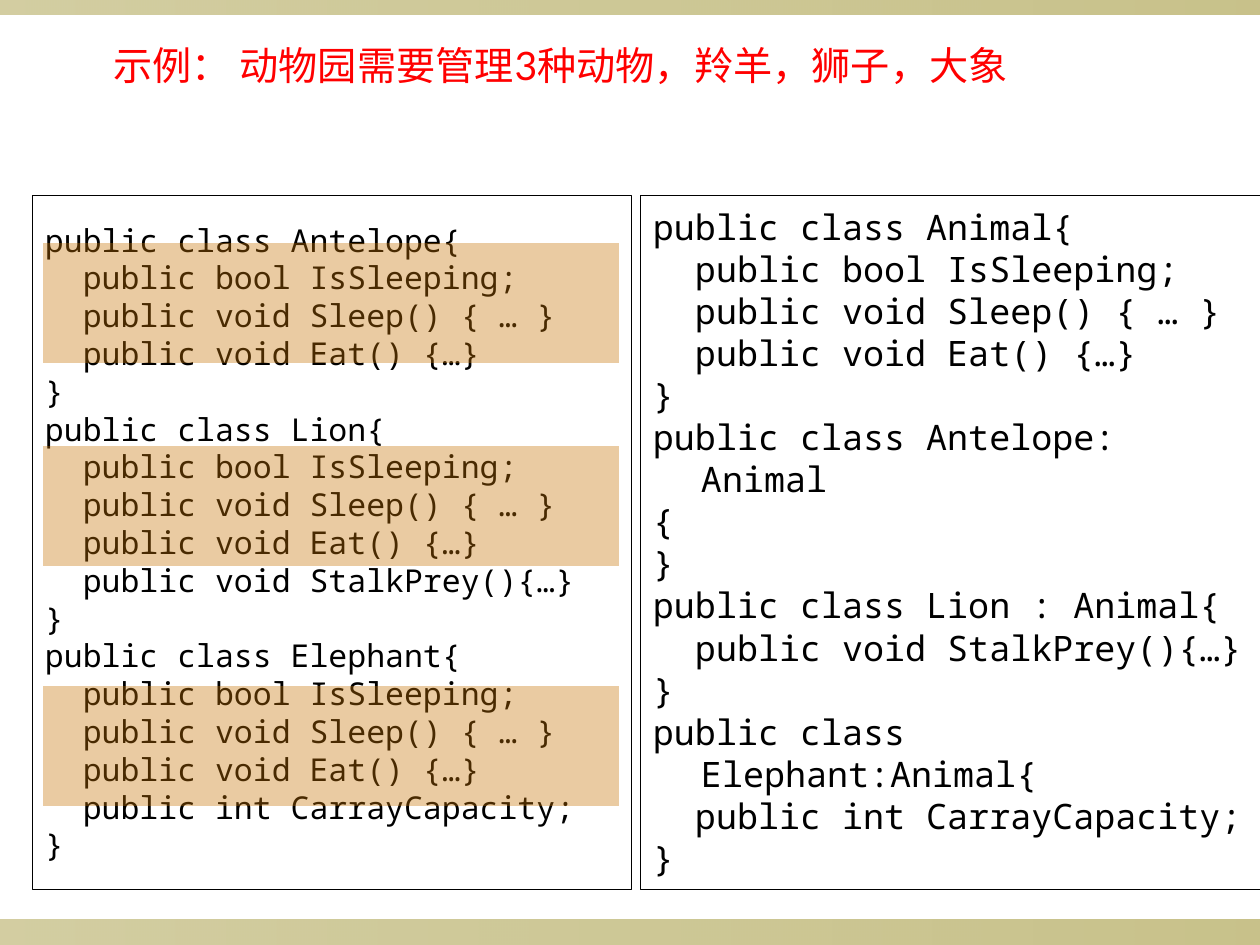
from lxml import etree
from pptx import Presentation
from pptx import util as u
from pptx.dml import color
from pptx.enum import shapes, text
from pptx.oxml import ns

OLIVE, AMBER, RED = "918415", "C77405", "FF0000"
BLACK, WHITE = "000000", "FFFFFF"
BASE = """  public bool IsSleeping;
  public void Sleep() { … }
  public void Eat() {…}
"""
STALK = "  public void StalkPrey(){…}\n"
CARRY = "  public int CarrayCapacity;\n"
BEFORE = "".join(
    f"public class {name}{{\n{BASE}{extra}}}\n"
    for name, extra in (("Antelope", ""), ("Lion", STALK), ("Elephant", CARRY)))
AFTER = f"""public class Animal{{
{BASE}}}
public class Antelope: Animal
{{
}}
public class Lion : Animal{{
{STALK}}}
public class Elephant:Animal{{
{CARRY}}}
"""


def px(n):
    return u.Emu(round(n * 914400 / 126))


def rgb(code):
    return color.RGBColor.from_string(code)


def fade(shape, levels):
    marks = shape._element.spPr.findall(".//" + ns.qn("a:srgbClr"))
    for mark, level in zip(marks, levels):
        etree.SubElement(mark, ns.qn("a:alpha")).set("val", str(level * 1000))


class Deck:
    code = "Noto Sans Mono"
    head = "Lato"
    frame = dict(word_wrap=True, margin_left=px(13), margin_right=px(13),
                 margin_top=px(6), margin_bottom=px(6))

    def __init__(self, wide, high):
        self.file = Presentation()
        self.file.slide_width, self.file.slide_height = px(wide), px(high)
        self.slide = self.file.slides.add_slide(self.file.slide_layouts[6])

    def rect(self, *box):
        shape = self.slide.shapes.add_shape(
            shapes.MSO_SHAPE.RECTANGLE, *map(px, box))
        shape.shadow.inherit = False
        shape.line.fill.background()
        return shape

    def strip(self, *box):
        shape = self.rect(*box)
        shape.fill.gradient()
        shape.fill.gradient_angle = 0
        for stop in shape.fill.gradient_stops:
            stop.color.rgb = rgb(OLIVE)
        fade(shape, (40, 50))

    def band(self, *box):
        shape = self.rect(*box)
        shape.fill.solid()
        shape.fill.fore_color.rgb = rgb(AMBER)
        fade(shape, (37,))

    def label(self, shape, words, font, size, ink, anchor, first=0):
        frame = shape.text_frame
        for key, val in dict(self.frame, vertical_anchor=anchor).items():
            setattr(frame, key, val)
        frame.text = words.rstrip("\n")
        for par in frame.paragraphs:
            par.alignment = text.PP_ALIGN.LEFT
            props = par._p.get_or_add_pPr()
            props.set("marL", str(px(48)))
            props.set("indent", str(px(first - 48)))
            for run in par.runs:
                for key, val in dict(name=font, size=u.Pt(size)).items():
                    setattr(run.font, key, val)
                run.font.color.rgb = rgb(ink)

    def title(self, words, *box):
        shape = self.slide.shapes.add_textbox(*map(px, box))
        self.label(shape, words, self.head, 22.4, RED,
                   text.MSO_ANCHOR.TOP, first=16)

    def panel(self, words, size, *box):
        shape = self.rect(*box)
        shape.fill.solid()
        shape.fill.fore_color.rgb = rgb(WHITE)
        shape.line.color.rgb = rgb(BLACK)
        shape.line.width = u.Pt(0.25)
        self.label(shape, words, self.code, size, BLACK,
                   text.MSO_ANCHOR.MIDDLE)


def main():
    deck = Deck(1260, 945)
    deck.strip(0, 920, 1260, 25)
    deck.strip(0, 0, 1260, 15)
    deck.title("示例： 动物园需要管理3种动物，羚羊，狮子，大象", 84, 35, 1091, 69)
    deck.panel(BEFORE, 18, 32, 195, 599, 694)
    for top in (243, 446, 686):
        deck.band(43, top, 576, 120)
    deck.panel(AFTER, 20, 640, 195, 620, 694)
    deck.file.save("out.pptx")


if __name__ == "__main__":
    main()
